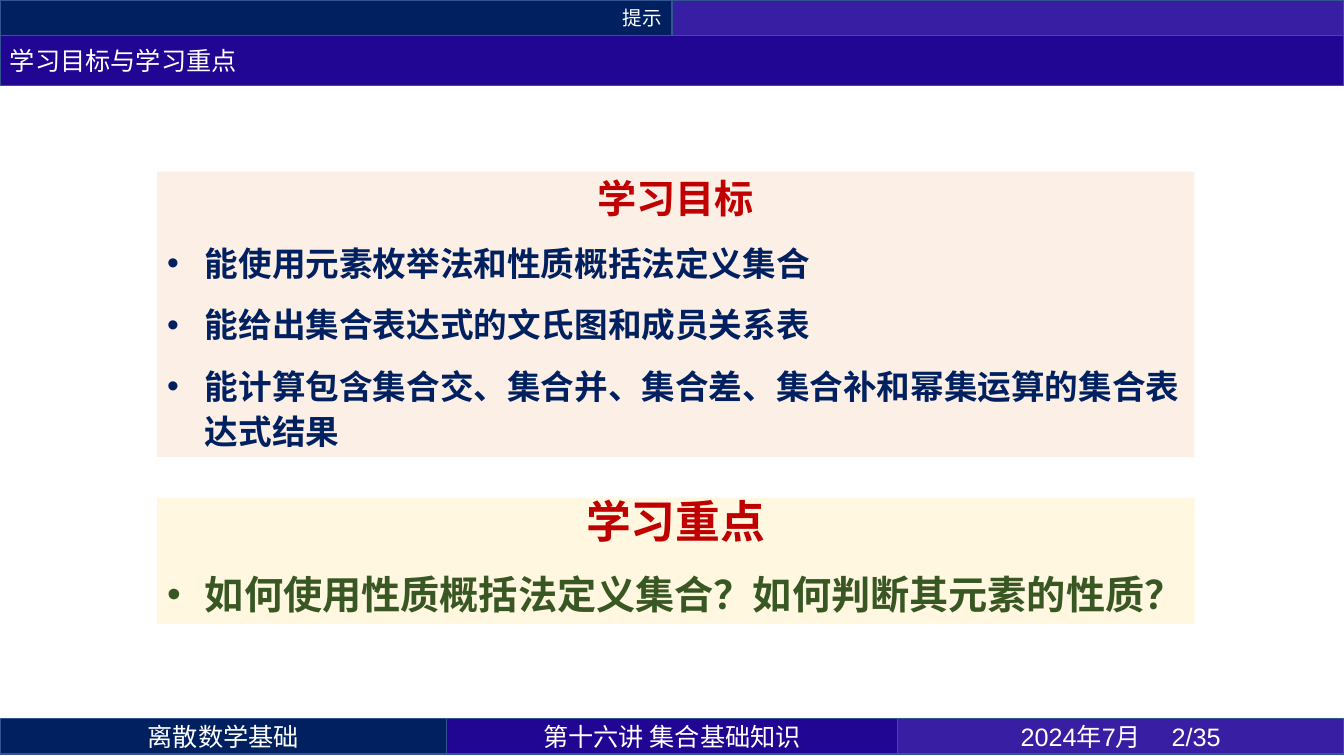
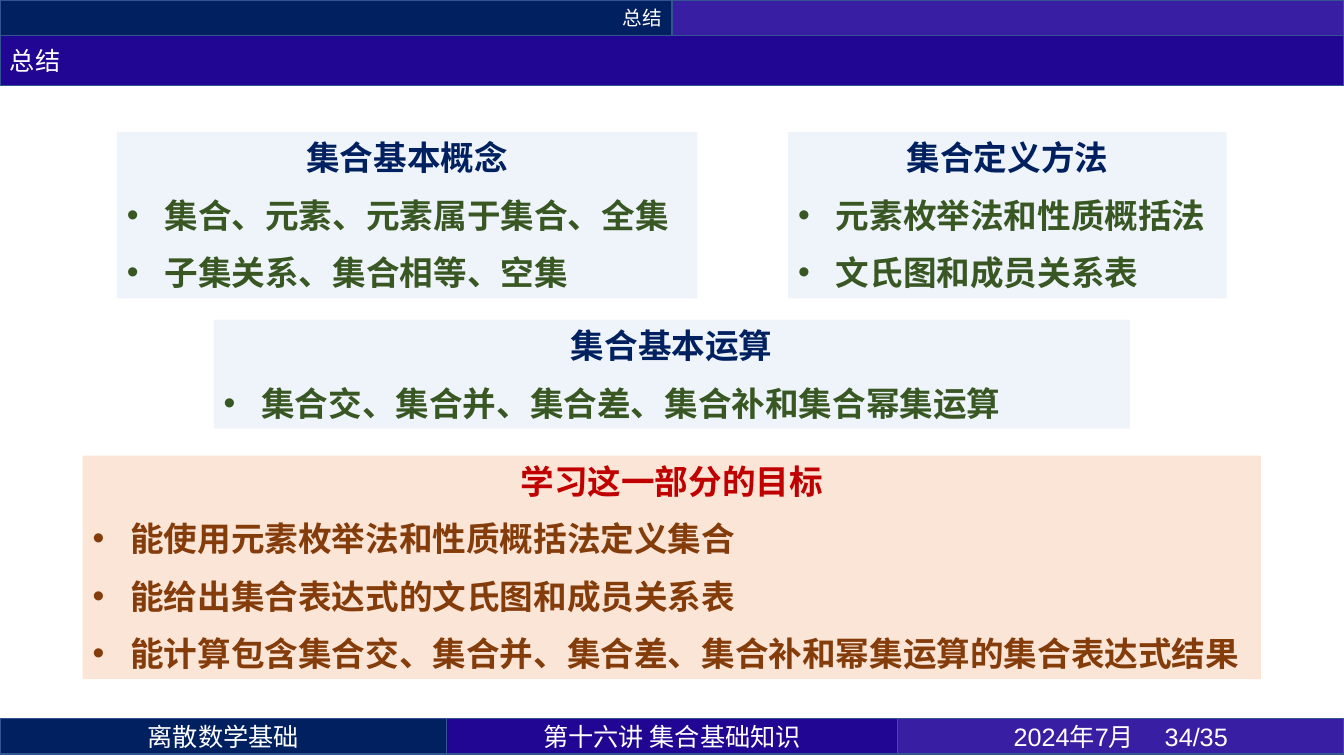
"""Build the goals and summary slides of a discrete mathematics lecture."""
from lxml import etree
from pptx import Presentation
from pptx.dml.color import RGBColor
from pptx.enum import shapes, text
from pptx.oxml import ns
from pptx.util import Pt

NAVY = RGBColor(0x00, 0x20, 0x60)
INDIGO = RGBColor(0x21, 0x06, 0x94)
VIOLET = RGBColor(0x37, 0x1E, 0xA2)
EDGE = RGBColor(0x32, 0x54, 0x91)
WHITE = RGBColor(0xFF, 0xFF, 0xFF)
RED = RGBColor(0xC0, 0x00, 0x00)
GREEN = RGBColor(0x38, 0x57, 0x23)
BROWN = RGBColor(0x84, 0x3C, 0x0B)
PEACH = RGBColor(0xFB, 0xE5, 0xD6)
CREAM = RGBColor(0xFF, 0xF2, 0xCC)
SKY = RGBColor(0xDE, 0xEB, 0xF7)

CJK, LATIN = "Noto Sans CJK SC", "Arial"
LEFT, CENTER, RIGHT = text.PP_ALIGN.LEFT, text.PP_ALIGN.CENTER, text.PP_ALIGN.RIGHT
WIDTH, HEIGHT = 960, 540
BAR, TITLE_BAR, FOOT_TOP = 25.2, 36, 513.4
FOOT_SIDE = 319
INDENT = 27
LINE_RATIO = 1.22
GOALS = [
    "能使用元素枚举法和性质概括法定义集合",
    "能给出集合表达式的文氏图和成员关系表",
    "能计算包含集合交、集合并、集合差、集合补和幂集运算的集合表达式结果",
]


def add_bullet(p):
    """Give a paragraph a hanging round bullet."""
    pPr = p._p.get_or_add_pPr()
    pPr.set("marL", str(Pt(INDENT)))
    pPr.set("indent", str(-Pt(INDENT)))
    etree.SubElement(pPr, ns.qn("a:buFont"), typeface=LATIN)
    etree.SubElement(pPr, ns.qn("a:buChar"), char="•")


def write(tf, content, size=18, color=WHITE, font=CJK, bold=False, align=LEFT,
          bullet=False, line=None, before=0, after=0):
    """Write one formatted paragraph, reusing the first one while it is empty."""
    p = tf.paragraphs[0]
    if p.runs:
        p = tf.add_paragraph()
    if bullet:
        add_bullet(p)
    p.alignment = align
    p.line_spacing = Pt(line or round(size * LINE_RATIO))
    p.space_before, p.space_after = Pt(before), Pt(after)
    r = p.add_run()
    r.text = content
    r.font.size, r.font.bold = Pt(size), bold
    r.font.color.rgb = color
    r.font.name = font
    etree.SubElement(r._r.get_or_add_rPr(), ns.qn("a:ea"), typeface=CJK)


def add_rect(s, x, y, w, h, fill, opacity=100):
    """Draw a plain filled rectangle without an outline."""
    sp = s.shapes.add_shape(shapes.MSO_SHAPE.RECTANGLE, Pt(x), Pt(y), Pt(w), Pt(h))
    sp.shadow.inherit = False
    sp.fill.solid()
    sp.fill.fore_color.rgb = fill
    sp.line.fill.background()
    if opacity < 100:
        clr = sp._element.spPr.find(".//" + ns.qn("a:srgbClr"))
        etree.SubElement(clr, ns.qn("a:alpha"), val=str(opacity * 1000))
    sp.text_frame.word_wrap = True
    return sp


def add_band(s, x, y, w, h, fill, content="", **fmt):
    """Draw an outlined band with an optional line of text."""
    sp = add_rect(s, x, y, w, h, fill)
    sp.line.color.rgb = EDGE
    sp.line.width = Pt(1)
    tf = sp.text_frame
    tf.vertical_anchor = text.MSO_ANCHOR.MIDDLE
    tf.margin_top = tf.margin_bottom = 0
    if content:
        write(tf, content, **fmt)


def add_panel(s, box, fill, heading, items, heading_color=NAVY, item_color=GREEN,
              heading_size=24, item_size=24, opacity=100, line=None, before=6):
    """Draw a tinted panel with a centred heading and bulleted items."""
    tf = add_rect(s, *box, fill, opacity).text_frame
    tf.vertical_anchor = text.MSO_ANCHOR.TOP
    write(tf, heading, size=heading_size, color=heading_color, bold=True,
          align=CENTER, line=line, after=6)
    for item in items:
        write(tf, item, size=item_size, color=item_color, font=LATIN, bold=True,
              bullet=True, line=line, before=before, after=6)


def add_slide(prs, section, title, number):
    """Add a blank slide with the shared header and footer bands."""
    s = prs.slides.add_slide(prs.slide_layouts[6])
    half, middle = WIDTH / 2, WIDTH - 2 * FOOT_SIDE
    add_band(s, 0, 0, half, BAR, NAVY, section, size=14, align=RIGHT)
    add_band(s, half, 0, half, BAR, VIOLET)
    add_band(s, 0, FOOT_TOP, FOOT_SIDE, BAR, NAVY, "离散数学基础", align=CENTER)
    add_band(s, FOOT_SIDE, FOOT_TOP, middle, BAR, INDIGO,
             "第十六讲 集合基础知识", align=CENTER)
    add_band(s, FOOT_SIDE + middle, FOOT_TOP, FOOT_SIDE, BAR, VIOLET,
             f"2024年7月 \t{number}/35", font=LATIN, align=CENTER)
    add_band(s, 0, BAR, WIDTH, TITLE_BAR, INDIGO, title)
    return s


def add_goals_slide(prs):
    """Add the slide with learning goals and key points."""
    s = add_slide(prs, "提示", "学习目标与学习重点", 2)
    x, w = 112.3, 740.9
    add_panel(s, (x, 122.6, w, 203.8), PEACH, "学习目标", GOALS, heading_color=RED,
              item_color=NAVY, heading_size=28, opacity=60, line=32)
    add_panel(s, (x, 355.7, w, 90), CREAM, "学习重点",
              ["如何使用性质概括法定义集合？如何判断其元素的性质？"], heading_color=RED,
              heading_size=32, item_size=28, opacity=60, line=32, before=12)


def add_summary_slide(prs):
    """Add the slide that sums up concepts, methods, operations and goals."""
    s = add_slide(prs, "总结", "总结", 34)
    topics = [
        ((83.5, 94.3, 414.7, 118.8), "集合基本概念",
         ["集合、元素、元素属于集合、全集", "子集关系、集合相等、空集"]),
        ((563, 94.3, 313.2, 118.8), "集合定义方法",
         ["元素枚举法和性质概括法", "文氏图和成员关系表"]),
        ((152.6, 228.4, 654.5, 77.8), "集合基本运算",
         ["集合交、集合并、集合差、集合补和集合幂集运算"]),
    ]
    for box, heading, items in topics:
        add_panel(s, box, SKY, heading, items, opacity=50)
    add_panel(s, (59, 325.4, 841.7, 159.8), PEACH, "学习这一部分的目标", GOALS,
              heading_color=RED, item_color=BROWN)


def main():
    """Build and save the presentation."""
    prs = Presentation()
    prs.slide_width, prs.slide_height = Pt(WIDTH), Pt(HEIGHT)
    add_goals_slide(prs)
    add_summary_slide(prs)
    prs.save("out.pptx")


if __name__ == "__main__":
    main()
